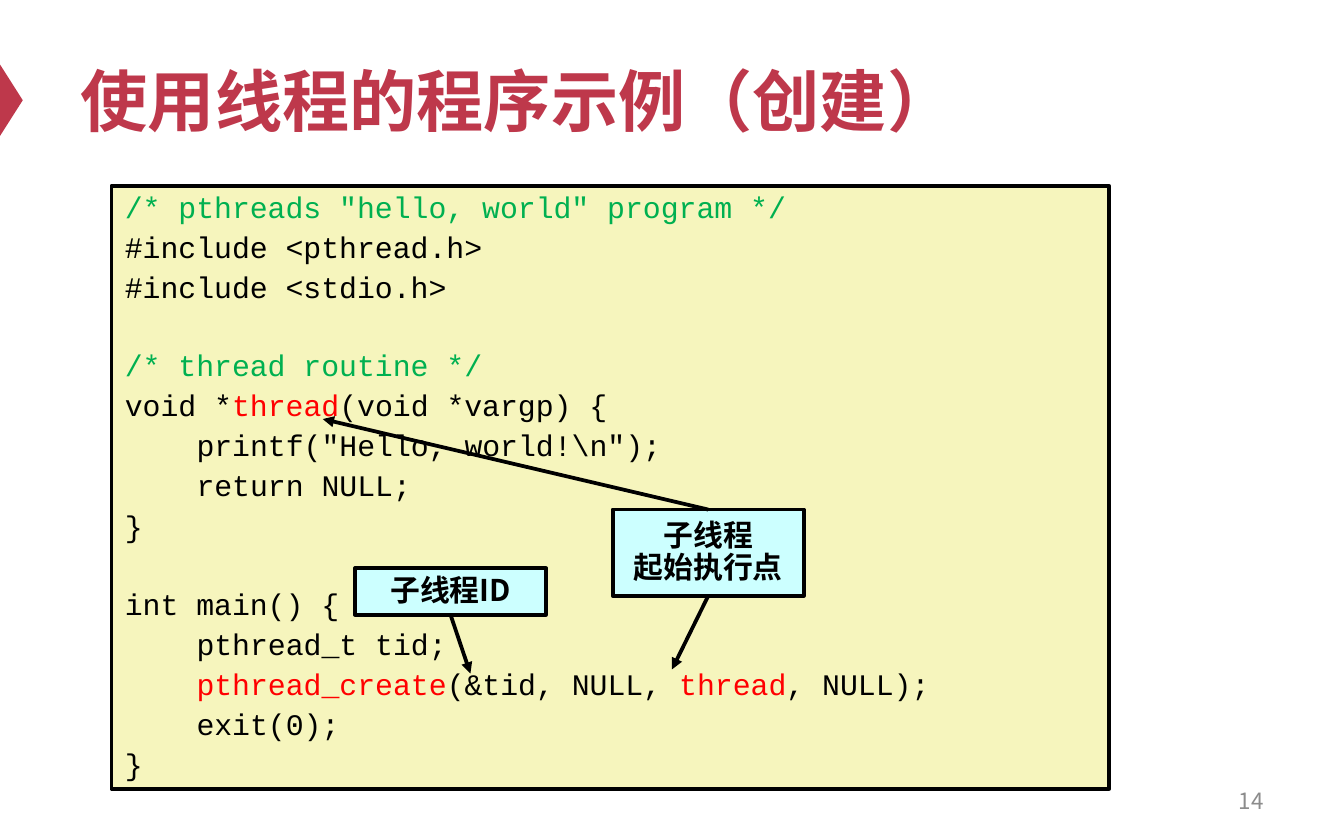
"""Build the slide showing a thread creation program with two callouts."""
from lxml import etree
from pptx import Presentation
from pptx.dml.color import RGBColor
from pptx.enum.shapes import MSO_CONNECTOR, MSO_SHAPE
from pptx.enum.text import MSO_ANCHOR, PP_ALIGN
from pptx.oxml.ns import qn
from pptx.util import Cm, Pt

STRAIGHT = MSO_CONNECTOR.STRAIGHT
RECTANGLE, TRIANGLE = MSO_SHAPE.RECTANGLE, MSO_SHAPE.ISOSCELES_TRIANGLE
MIDDLE = MSO_ANCHOR.MIDDLE
LEFT, CENTER, RIGHT = PP_ALIGN.LEFT, PP_ALIGN.CENTER, PP_ALIGN.RIGHT
TOP_SIDE, BOTTOM_SIDE = 0, 2

THEME = {
    "accent": "BE384B", "number": "8C8C8C", "line": "000000",
    "code_fill": "F6F5BD", "callout_fill": "CCFFFF",
    "plain": "000000", "comment": "00B050", "key": "FF0000",
    "title_size": 36, "body_size": 16, "number_size": 12,
    "title_font": "Arial", "code_font": "Courier New", "cjk_font": "Noto Sans CJK SC",
    "line_width": 2, "line_spacing": 0.9, "code_gap": 4.2, "code_pitch": 20.5,
    "code_indent": 1.355,
}

TITLE = "使用线程的程序示例（创建）"
PAGE_NUMBER = "14"
CODE_BLOCKS = [
    [
        (0, [("/* pthreads \"hello, world\" program */", "comment")]),
        (0, [("#include <pthread.h>", "plain")]),
        (0, [("#include <stdio.h>", "plain")]),
    ],
    [
        (0, [("/* thread routine */", "comment")]),
        (0, [("void *", "plain"), ("thread", "key"), ("(void *vargp) {", "plain")]),
        (1, [("printf(\"Hello, world!\\n\");", "plain")]),
        (1, [("return NULL;", "plain")]),
        (0, [("}", "plain")]),
    ],
    [
        (0, [("int main() {", "plain")]),
        (1, [("pthread_t tid;", "plain")]),
        (1, [("pthread_create", "key"), ("(&tid, NULL, ", "plain"),
             ("thread", "key"), (", NULL);", "plain")]),
        (1, [("exit(0);", "plain")]),
        (0, [("}", "plain")]),
    ],
]
CALLOUTS = [
    {"lines": ["子线程ID"], "frame": (6.71, 10.74, 3.61, 0.88),
     "arrows": [(BOTTOM_SIDE, (8.89, 12.73))]},
    {"lines": ["子线程", "起始执行点"], "frame": (11.58, 9.63, 3.61, 1.63),
     "arrows": [(TOP_SIDE, (6.1, 7.92)), (BOTTOM_SIDE, (12.7, 12.65))]},
]
TITLE_FRAME = (1.27, 0.64, 22.86, 2.49)
NUMBER_FRAME = (18.21, 14.71, 5.92, 0.84)
MARKER_FRAME = (-0.46, 1.68, 1.35, 0.43)
CODE_FRAME = (2.11, 3.51, 18.85, 11.4)


def lengths(values):
    return [Cm(value) for value in values]


def apply(target, formats):
    for name, value in formats.items():
        setattr(target, name, value)


def add_span(para, text, font, size, colour, bold=False):
    span = para.add_run()
    span.text = text
    apply(span.font, {"name": font, "size": Pt(size), "bold": bold})
    span.font.color.rgb = RGBColor.from_string(colour)
    east_asian = etree.SubElement(span.font._element, qn("a:ea"))
    east_asian.set("typeface", THEME["cjk_font"])


def next_para(frame, index, align, gap=0):
    para = frame.add_paragraph() if index else frame.paragraphs[0]
    apply(para, {"alignment": align, "line_spacing": THEME["line_spacing"],
                 "space_before": Pt(gap)})
    return para


def style_line(line):
    line.color.rgb = RGBColor.from_string(THEME["line"])
    line.width = Pt(THEME["line_width"])


def add_box(page, frame, fill):
    box = page.shapes.add_shape(RECTANGLE, *lengths(frame))
    box.shadow.inherit = False
    box.fill.solid()
    box.fill.fore_color.rgb = RGBColor.from_string(THEME[fill])
    style_line(box.line)
    apply(box.text_frame, {"word_wrap": True, "vertical_anchor": MIDDLE})
    return box


def add_marker(page):
    marker = page.shapes.add_shape(TRIANGLE, *lengths(MARKER_FRAME))
    marker.rotation = 90
    marker.shadow.inherit = False
    marker.fill.solid()
    marker.fill.fore_color.rgb = RGBColor.from_string(THEME["accent"])
    marker.line.fill.background()


def add_title(page):
    title = page.shapes.title
    apply(title, dict(zip(("left", "top", "width", "height"), lengths(TITLE_FRAME))))
    apply(title.text_frame, {"word_wrap": True, "vertical_anchor": MIDDLE})
    para = title.text_frame.paragraphs[0]
    para.alignment = LEFT
    add_span(para, TITLE, THEME["title_font"], THEME["title_size"], THEME["accent"], True)


def add_page_number(page):
    box = page.shapes.add_textbox(*lengths(NUMBER_FRAME))
    apply(box.text_frame, {"word_wrap": True, "vertical_anchor": MIDDLE})
    para = box.text_frame.paragraphs[0]
    para.alignment = RIGHT
    add_span(para, PAGE_NUMBER, THEME["cjk_font"], THEME["number_size"], THEME["number"])


def add_code(page):
    frame = add_box(page, CODE_FRAME, "code_fill").text_frame
    index = 0
    for block_index, block in enumerate(CODE_BLOCKS):
        for line_index, (level, spans) in enumerate(block):
            starts_block = block_index > 0 and line_index == 0
            gap = THEME["code_gap"] + (THEME["code_pitch"] if starts_block else 0)
            para = next_para(frame, index, LEFT, gap)
            para._p.get_or_add_pPr().set("marL", str(Cm(level * THEME["code_indent"])))
            for text, role in spans:
                add_span(para, text, THEME["code_font"], THEME["body_size"], THEME[role])
            index += 1


def add_arrow(page, box, side, end):
    start = (box.left + box.width // 2, box.top + (box.height if side == BOTTOM_SIDE else 0))
    arrow = page.shapes.add_connector(STRAIGHT, *start, *lengths(end))
    arrow.begin_connect(box, side)
    style_line(arrow.line)
    etree.SubElement(arrow.line._get_or_add_ln(), qn("a:tailEnd")).set("type", "triangle")
    etree.SubElement(arrow._element.spPr, qn("a:effectLst"))


def add_callout(page, callout):
    box = add_box(page, callout["frame"], "callout_fill")
    for index, text in enumerate(callout["lines"]):
        para = next_para(box.text_frame, index, CENTER)
        add_span(para, text, THEME["cjk_font"], THEME["body_size"], THEME["plain"], True)
    for side, end in callout["arrows"]:
        add_arrow(page, box, side, end)


def main():
    deck = Presentation()
    apply(deck, {"slide_width": Cm(25.4), "slide_height": Cm(15.875)})
    page = deck.slides.add_slide(deck.slide_layouts.get_by_name("Title Only"))
    add_marker(page)
    add_title(page)
    add_page_number(page)
    add_code(page)
    for callout in CALLOUTS:
        add_callout(page, callout)
    deck.save("out.pptx")


if __name__ == "__main__":
    main()
